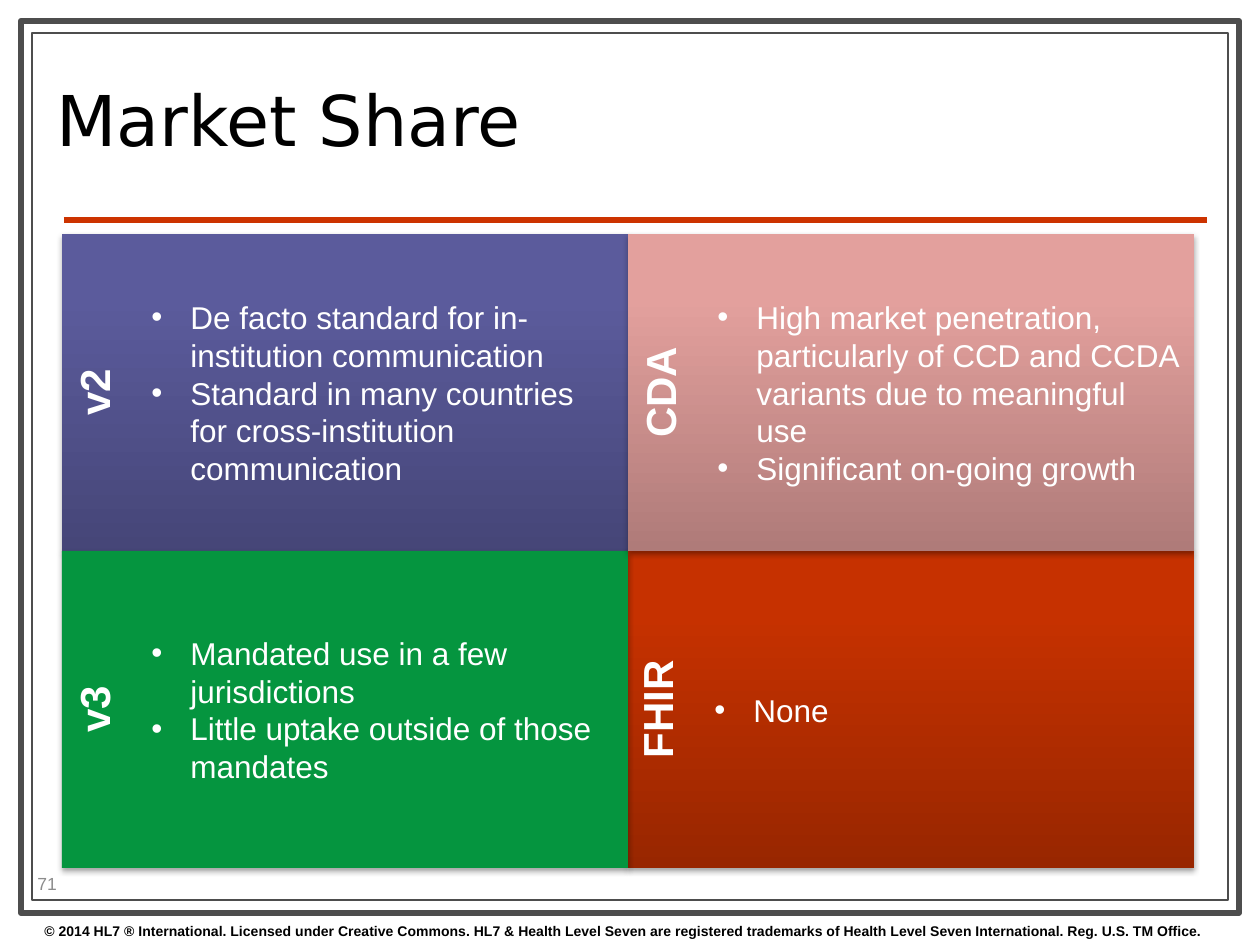
from dataclasses import dataclass
from lxml.etree import SubElement
from pptx import Presentation
from pptx.dml.color import RGBColor
from pptx.enum.shapes import MSO_CONNECTOR, MSO_SHAPE
from pptx.enum.text import MSO_ANCHOR, PP_ALIGN
from pptx.oxml import parse_xml
from pptx.oxml.ns import nsdecls, qn
from pptx.util import Pt


@dataclass(frozen=True)
class Theme:
    white: str = "FFFFFF"
    black: str = "000000"
    frame: str = "4D4D4D"
    rule: str = "CC3300"
    muted: str = "8C8C8C"
    violet: tuple = ("464678", "5B5B9C")
    red: tuple = ("982600", "C63100")
    green: tuple = ("05953F",)
    pink: tuple = ("AF7B79", "E3A09D")
    sans: str = "Arial"
    head: str = "DejaVu Sans"
    title: int = 40
    label: int = 24
    body: int = 18
    page: int = 10
    legal: int = 8


theme = Theme()
PX = 914400 / 126
rgb = RGBColor.from_string


def emu(*sizes):
    return [round(size * PX) for size in sizes]


def write(box, lines, size, color, bold=False, face=theme.sans, bullet=False):
    shape = slide.shapes.add_textbox(*emu(*box))
    frame = shape.text_frame
    frame.word_wrap = True
    frame.vertical_anchor = MSO_ANCHOR.MIDDLE
    frame.text = "\n".join(lines)
    for para in frame.paragraphs:
        if bullet:
            props = para._p.get_or_add_pPr()
            indent = emu(39)[0]
            props.set("marL", str(indent))
            props.set("indent", str(-indent))
            SubElement(props, qn("a:buFont"), typeface=theme.sans)
            SubElement(props, qn("a:buChar"), char="•")
        for run in para.runs:
            run.font.name = face
            run.font.size = Pt(size)
            run.font.bold = bold
            run.font.color.rgb = rgb(color)
    return frame


deck = Presentation()
deck.slide_width, deck.slide_height = emu(1260, 945)
slide = deck.slides.add_slide(deck.slide_layouts[6])

for box, width in [((21, 21, 1218, 892), 3.5), ((32, 33, 1196, 867), 0.75)]:
    border = slide.shapes.add_shape(MSO_SHAPE.RECTANGLE, *emu(*box))
    border.shadow.inherit = False
    border.fill.solid()
    border.fill.fore_color.rgb = rgb(theme.white)
    border.line.color.rgb = rgb(theme.frame)
    border.line.width = Pt(width)

rule = slide.shapes.add_connector(MSO_CONNECTOR.STRAIGHT, *emu(64, 220, 1207, 220))
rule.line.color.rgb = rgb(theme.rule)
rule.line.width = Pt(3)
SubElement(rule._element.spPr, qn("a:effectLst"))

legal = write((32, 916, 1228, 29), [
    "© 2014 HL7 ® International. Licensed under Creative Commons. "
    "HL7 & Health Level Seven are registered trademarks of "
    "Health Level Seven International. Reg. U.S. TM Office."],
    theme.legal, theme.black, bold=True)
title = write((44, 45, 903, 163), ["Market Share"], theme.title, theme.black,
              face=theme.head)
title.paragraphs[0].line_spacing = 0.8
write((25, 868, 100, 30), ["71"], theme.page, theme.muted)

LEFT, TOP, WIDE, HIGH, SIDE = 62, 234, 566, 317, 77
panels = [
    ("v2", 0, 0, 0, theme.violet, [
        "De facto standard for in-institution communication",
        "Standard in many countries for cross-institution communication"]),
    ("FHIR", 1, 1, -3, theme.red, ["None"]),
    ("v3", 0, 1, 0, theme.green, [
        "Mandated use in a few jurisdictions",
        "Little uptake outside of those mandates"]),
    ("CDA", 1, 0, 0, theme.pink, [
        "High market penetration, particularly of CCD and CCDA variants "
        "due to meaningful use",
        "Significant on-going growth"]),
]

for name, col, row, shift, shades, points in panels:
    x, y = LEFT + col * WIDE, TOP + row * HIGH
    panel = slide.shapes.add_shape(MSO_SHAPE.RECTANGLE, *emu(x, y, WIDE, HIGH))
    panel.line.fill.background()
    if len(shades) == 1:
        panel.fill.solid()
        panel.fill.fore_color.rgb = rgb(shades[0])
    else:
        panel.fill.gradient()
        panel.fill.gradient_angle = 90
        for stop, shade, place in zip(panel.fill.gradient_stops, shades, (0, 0.8)):
            stop.color.rgb = rgb(shade)
            stop.position = place
    panel.shadow.inherit = False
    panel._element.spPr.find(qn("a:effectLst")).append(parse_xml(
        f'<a:outerShdw {nsdecls("a")} blurRad="{Pt(3.1)}" dist="{Pt(1.8)}" '
        f'dir="5400000" rotWithShape="0"><a:srgbClr val="{theme.black}">'
        '<a:alpha val="35000"/></a:srgbClr></a:outerShdw>'))

    x += shift
    label = write((x, y, SIDE, HIGH), [name], theme.label, theme.white, bold=True)
    label.vertical_anchor = MSO_ANCHOR.TOP
    label.paragraphs[0].alignment = PP_ALIGN.CENTER
    label._txBody.bodyPr.set("vert", "vert270")
    write((x + SIDE, y, WIDE - SIDE, HIGH), points, theme.body, theme.white,
          bullet=True)

deck.save("out.pptx")
